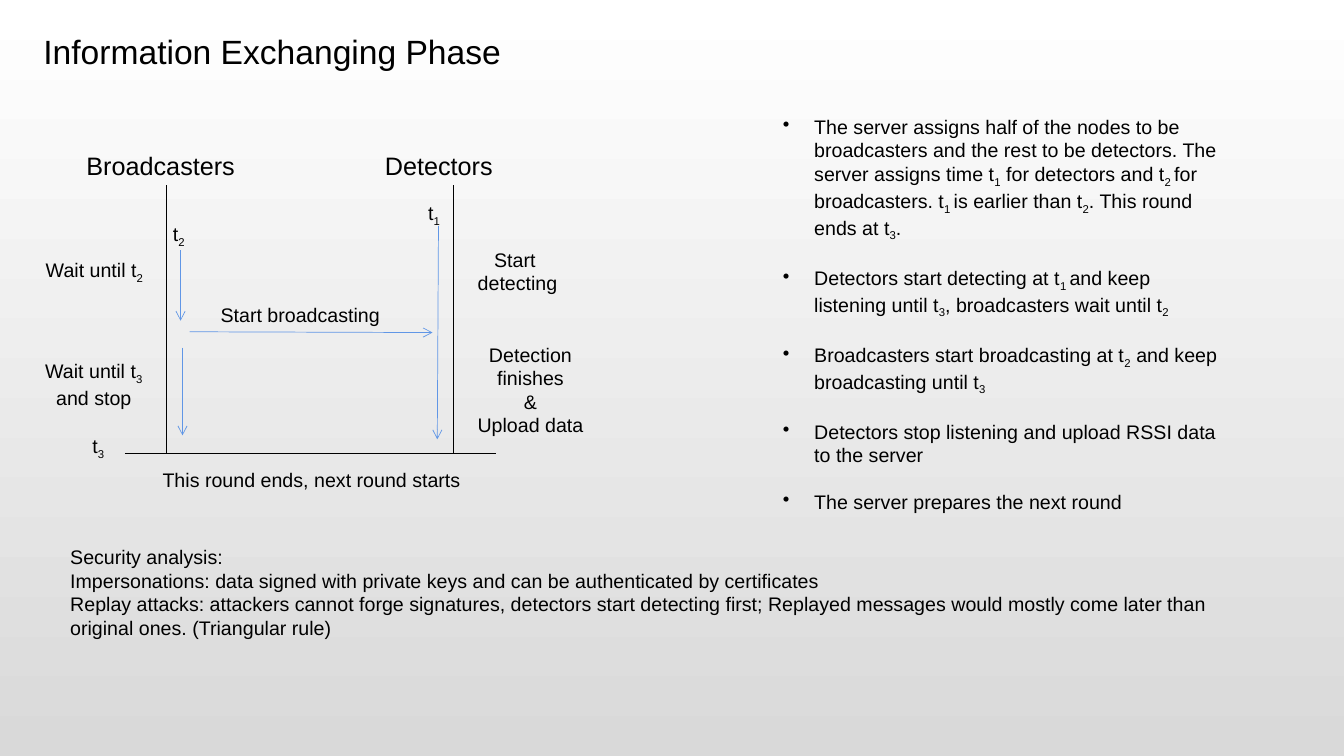
from dataclasses import dataclass

from lxml.etree import SubElement
from pptx import Presentation
from pptx.dml.color import RGBColor
from pptx.enum.shapes import MSO_CONNECTOR
from pptx.enum.text import MSO_ANCHOR, MSO_AUTO_SIZE, PP_ALIGN as Align
from pptx.oxml.ns import qn
from pptx.slide import Slide
from pptx.text.text import TextFrame
from pptx.util import Cm, Pt


@dataclass(frozen=True)
class Theme:
    font: str = "Arial"
    text: RGBColor = RGBColor(0x00, 0x00, 0x00)
    arrow: RGBColor = RGBColor(0x60, 0x96, 0xE6)
    background_top: RGBColor = RGBColor(0xFF, 0xFF, 0xFF)
    background_bottom: RGBColor = RGBColor(0xD9, 0xD9, 0xD9)
    title_size: float = 24
    heading_size: float = 18
    body_size: float = 14
    line_width: float = 0.5
    bullet_gap: float = 16.8


THEME = Theme()


@dataclass(frozen=True)
class Label:
    """Text at a place in cm; subscripts stand between bars, as in t|1|."""
    text: str
    left: float
    top: float
    width: float
    height: float = 0.86
    align: Align = Align.LEFT
    size: float = THEME.body_size
    bulleted: bool = False


@dataclass(frozen=True)
class Line:
    """A straight line between two points in cm."""
    start: tuple[float, float]
    end: tuple[float, float]
    is_arrow: bool = False


TITLE = Label("Information Exchanging Phase", 0.84, 0.64, 13.18, 1.27,
              size=THEME.title_size)

BROADCASTER_X, DETECTOR_X = 4.19, 11.43
LIFELINE_TOP, ROUND_END = 4.67, 11.43

LINES = [
    *(Line((x, LIFELINE_TOP), (x, ROUND_END)) for x in (BROADCASTER_X, DETECTOR_X)),
    Line((3.15, ROUND_END), (12.5, ROUND_END)),
    Line((4.55, 6.3), (4.55, 8.08), is_arrow=True),
    Line((4.78, 8.36), (10.9, 8.38), is_arrow=True),
    Line((4.6, 8.76), (4.6, 10.97), is_arrow=True),
    Line((11.05, 5.69), (11.02, 11.07), is_arrow=True),
]

BULLETS = "\n".join([
    "The server assigns half of the nodes to be broadcasters and the rest to be "
    "detectors. The server assigns time t|1| for detectors and t|2 |for broadcasters. "
    "t|1 |is earlier than t|2|. This round ends at t|3|.",
    "Detectors start detecting at t|1 |and keep listening until t|3|, "
    "broadcasters wait until t|2|",
    "Broadcasters start broadcasting at t|2| and keep broadcasting until t|3|",
    "Detectors stop listening and upload RSSI data to the server",
    "The server prepares the next round",
])

SECURITY = "\n".join([
    "Security analysis:",
    "Impersonations: data signed with private keys and can be authenticated by "
    "certificates",
    "Replay attacks: attackers cannot forge signatures, detectors start detecting "
    "first; Replayed messages would mostly come later than original ones. "
    "(Triangular rule)",
])

LABELS = [
    Label("Broadcasters", 1.93, 3.66, 4.5, 1.02, size=THEME.heading_size),
    Label("Detectors", 9.45, 3.66, 4.5, 1.02, size=THEME.heading_size),
    Label("t|1|", 10.54, 4.93, 0.99),
    Label("t|2|", 4.11, 5.46, 0.99),
    Label("t|3|", 2.08, 10.82, 0.99),
    Label("Wait until t|2|", 0.64, 6.38, 3.48, align=Align.CENTER),
    Label("Wait until t|3| and stop", 0.84, 8.92, 3.05, 1.45, Align.CENTER),
    Label("Start broadcasting", 5.31, 7.52, 4.98),
    Label("Start \ndetecting", 11.61, 6.12, 2.87, 1.45, Align.CENTER),
    Label("Detection finishes\n&\nUpload data", 11.73, 8.51, 3.28, 2.64, Align.CENTER),
    Label("This round ends, next round starts", 2.57, 11.66, 10.57, align=Align.CENTER),
    Label(BULLETS, 19.48, 2.77, 11.46, 10.41, bulleted=True),
    Label(SECURITY, 1.52, 13.61, 29.57, 2.64),
]


def fill_text(frame: TextFrame, label: Label) -> None:
    frame.word_wrap = True
    frame.auto_size = MSO_AUTO_SIZE.NONE
    frame.vertical_anchor = MSO_ANCHOR.TOP
    for index, text in enumerate(label.text.split("\n")):
        paragraph = frame.add_paragraph() if index else frame.paragraphs[0]
        paragraph.alignment = label.align
        paragraph.font.name = THEME.font
        paragraph.font.size = Pt(label.size)
        paragraph.font.color.rgb = THEME.text
        if label.bulleted:
            paragraph.space_before = Pt(THEME.bullet_gap if index else 0)
            properties = paragraph._p.get_or_add_pPr()
            indent = Cm(0.79)
            properties.set("marL", str(indent))
            properties.set("indent", str(-indent))
            properties.insert_element_before(
                SubElement(properties, qn("a:buChar"), char="•"), "a:defRPr")
        for position, part in enumerate(text.split("|")):
            if part:
                run = paragraph.add_run()
                run.text = part
                if position % 2:
                    run.font._element.set("baseline", "-25000")


def add_title(slide: Slide, label: Label) -> None:
    title = slide.shapes.title
    title.left, title.top = Cm(label.left), Cm(label.top)
    title.width, title.height = Cm(label.width), Cm(label.height)
    fill_text(title.text_frame, label)


def add_label(slide: Slide, label: Label) -> None:
    box = slide.shapes.add_textbox(
        Cm(label.left), Cm(label.top), Cm(label.width), Cm(label.height))
    fill_text(box.text_frame, label)


def add_line(slide: Slide, line: Line) -> None:
    connector = slide.shapes.add_connector(
        MSO_CONNECTOR.STRAIGHT, *map(Cm, line.start), *map(Cm, line.end))
    connector.line.width = Pt(THEME.line_width)
    connector.line.color.rgb = THEME.arrow if line.is_arrow else THEME.text
    if line.is_arrow:
        SubElement(connector.line._get_or_add_ln(), qn("a:tailEnd"), type="arrow")
    SubElement(connector._element.spPr, qn("a:effectLst"))


def paint_background(slide: Slide) -> None:
    fill = slide.background.fill
    fill.gradient()
    fill.gradient_angle = 270
    colors = (THEME.background_top, THEME.background_bottom)
    for stop, color in zip(fill.gradient_stops, colors):
        stop.color.rgb = color


def main() -> None:
    presentation = Presentation()
    presentation.slide_width, presentation.slide_height = Cm(33.87), Cm(19.05)
    slide = presentation.slides.add_slide(presentation.slide_layouts[5])
    paint_background(slide)
    add_title(slide, TITLE)
    for line in LINES:
        add_line(slide, line)
    for label in LABELS:
        add_label(slide, label)
    presentation.save("out.pptx")


if __name__ == "__main__":
    main()
